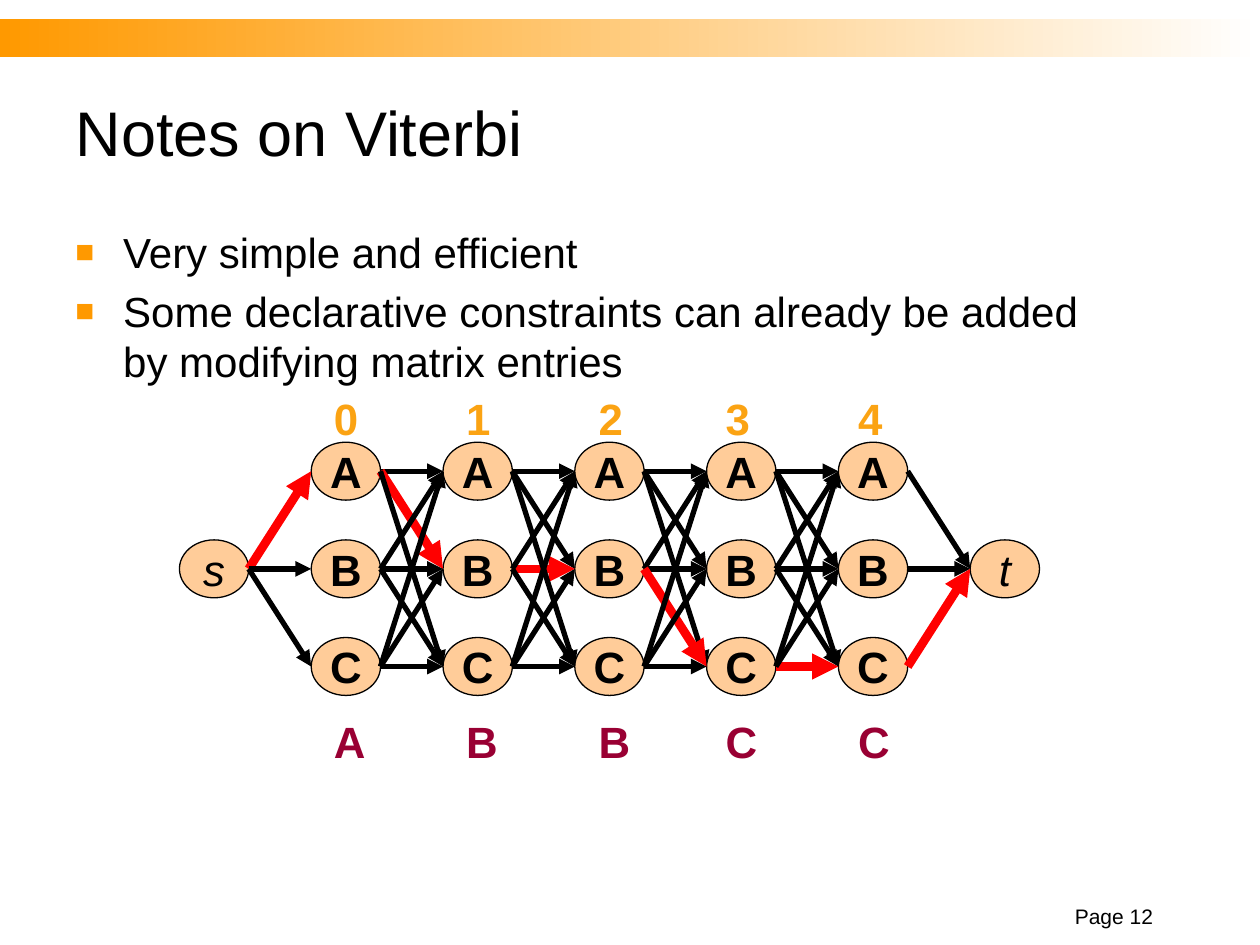
from lxml import etree
from pptx import Presentation
from pptx.dml import color
from pptx.enum import shapes, text
from pptx.oxml import ns
from pptx.util import Inches, Pt

STATES = "ABC"
BEST_PATH = "ABBCC"
NODE_W, NODE_H = 0.55, 0.46
FIRST_X, STEP_X = 2.47, 1.046
FIRST_Y, STEP_Y = 3.51, 0.775
LABEL_LEFTS = [2.59, 3.64, 4.69, 5.7, 6.75]
EDGE_ORDER = ["AA", "AB", "BB", "CC", "AC", "BA", "BC", "CB", "CA"]
BLACK, RED, ORANGE = "000000", "FF0000", "FF9900"


def rgb(value):
    return color.RGBColor.from_string(value)


def write(frame, content, size=25, ink=BLACK, bold=False, italic=False,
          align=text.PP_ALIGN.LEFT, anchor=text.MSO_ANCHOR.TOP,
          wrap=True, insets=(0.06, 0.03)):
    frame.word_wrap = wrap
    frame.vertical_anchor = anchor
    frame.margin_left = frame.margin_right = Inches(insets[0])
    frame.margin_top = frame.margin_bottom = Inches(insets[1])
    frame.text = content
    for paragraph in frame.paragraphs:
        paragraph.alignment = align
        for run in paragraph.runs:
            run.font.name = "Arial"
            run.font.size = Pt(size)
            run.font.bold = bold
            run.font.italic = italic
            run.font.color.rgb = rgb(ink)


def add_text(slide, box, content, **style):
    frame = slide.shapes.add_textbox(*map(Inches, box)).text_frame
    write(frame, content, **style)
    return frame


def add_bullets(frame):
    for paragraph in frame.paragraphs:
        paragraph.space_before = Pt(4.8)
        props = paragraph._p.get_or_add_pPr()
        props.set("marL", str(Inches(0.38)))
        props.set("indent", str(-Inches(0.38)))
        tint = etree.SubElement(props, ns.qn("a:buClr"))
        etree.SubElement(tint, ns.qn("a:srgbClr"), val=ORANGE)
        etree.SubElement(props, ns.qn("a:buSzPct"), val="75000")
        etree.SubElement(props, ns.qn("a:buFont"), typeface="Arial")
        etree.SubElement(props, ns.qn("a:buChar"), char="■")


def add_banner(slide):
    banner = slide.shapes.add_shape(
        shapes.MSO_SHAPE.RECTANGLE, 0, Inches(0.15), Inches(10), Inches(0.3))
    banner.shadow.inherit = False
    banner.line.fill.background()
    banner.fill.gradient()
    banner.fill.gradient_angle = 0
    for stop, tint, position in zip(banner.fill.gradient_stops, (ORANGE, "FFFFFF"), (0, 1)):
        stop.color.rgb = rgb(tint)
        stop.position = position


def position(stage, state):
    return FIRST_X + STEP_X * stage, FIRST_Y + STEP_Y * STATES.index(state)


def add_node(slide, stage, state, label, **style):
    x, y = position(stage, state)
    node = slide.shapes.add_shape(
        shapes.MSO_SHAPE.OVAL, *map(Inches, (x, y, NODE_W, NODE_H)))
    node.shadow.inherit = False
    node.fill.solid()
    node.fill.fore_color.rgb = rgb("FFCC99")
    node.line.color.rgb = rgb(BLACK)
    node.line.width = Pt(0.75)
    write(node.text_frame, label, align=text.PP_ALIGN.CENTER,
          anchor=text.MSO_ANCHOR.MIDDLE, wrap=False, **style)


def add_edge(slide, stage, source, target, best):
    x1, y1 = position(stage, source)
    x2, y2 = position(stage + 1, target)
    ends = (x1 + NODE_W, y1 + NODE_H / 2, x2, y2 + NODE_H / 2)
    edge = slide.shapes.add_connector(
        shapes.MSO_CONNECTOR.STRAIGHT, *map(Inches, ends))
    edge.line.color.rgb = rgb(RED if best else BLACK)
    edge.line.width = Pt(5 if best else 3)
    etree.SubElement(edge.line._get_or_add_ln(), ns.qn("a:tailEnd"), type="triangle")
    etree.SubElement(edge._element.spPr, ns.qn("a:effectLst"))


def add_trellis(slide):
    last = len(BEST_PATH) - 1
    add_node(slide, -1, "B", "s", italic=True)
    for stage in range(last + 1):
        for state in STATES:
            add_node(slide, stage, state, state, bold=True)
    add_node(slide, last + 1, "B", "t", italic=True)

    for state in STATES:
        add_edge(slide, -1, "B", state, state == BEST_PATH[0])
    for pair in EDGE_ORDER:
        for stage in range(last):
            add_edge(slide, stage, *pair, pair == BEST_PATH[stage:stage + 2])
    for state in STATES:
        add_edge(slide, last, state, "B", state == BEST_PATH[last])

    for stage, left in enumerate(LABEL_LEFTS):
        add_text(slide, (left, 3.08, 0.32, 0.48), str(stage), ink="FBA313", bold=True)
        add_text(slide, (left, 5.64, 0.32, 0.48), BEST_PATH[stage], ink="990033", bold=True)


def main():
    deck = Presentation()
    deck.slide_width, deck.slide_height = Inches(10), Inches(7.5)
    slide = deck.slides.add_slide(deck.slide_layouts[5])
    add_banner(slide)

    title = slide.shapes.title
    title.left, title.top, title.width, title.height = map(Inches, (0.5, 0.5, 9, 1.08))
    write(title.text_frame, "Notes on Viterbi", size=36,
          anchor=text.MSO_ANCHOR.MIDDLE, insets=(0.1, 0.05))

    notes = add_text(
        slide, (0.5, 1.75, 9, 1.42),
        "Very simple and efficient\n"
        "Some declarative constraints can already be added \vby modifying matrix entries",
        size=24, insets=(0.1, 0.05))
    add_bullets(notes)
    add_trellis(slide)
    add_text(slide, (8.25, 7.17, 1, 0.25), "Page 12", size=12, insets=(0.1, 0.05),
             align=text.PP_ALIGN.RIGHT, anchor=text.MSO_ANCHOR.BOTTOM)
    deck.save("out.pptx")


main()
